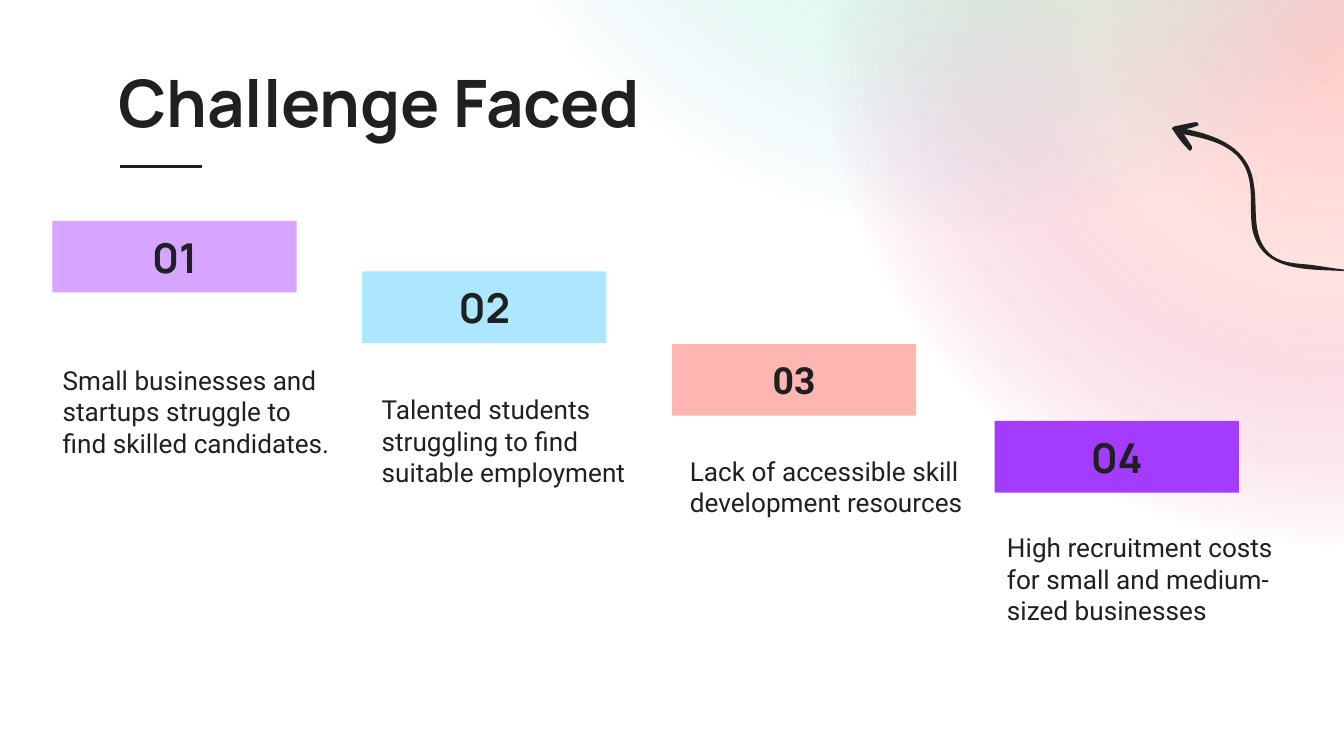
import lxml.etree
import pptx
import pptx.dml.color
import pptx.enum.shapes
import pptx.enum.text
import pptx.oxml
import pptx.oxml.ns
import pptx.util

Pt = pptx.util.Pt
qn = pptx.oxml.ns.qn
SHAPES = pptx.enum.shapes.MSO_SHAPE
ANCHOR = pptx.enum.text.MSO_ANCHOR
ALIGN = pptx.enum.text.PP_ALIGN

COLORS = {
    "ink": "1F2022",
    "lilac": "D5A5FF",
    "sky": "ADE7FF",
    "coral": "FFB6B2",
    "violet": "A43CFF",
    "mint": "96F8CC",
    "teal": "73BAD8",
    "magenta": "D40D64",
}

# Glow stops: position %, colour, opacity %
CORAL_GLOW = [(0, "coral", 66), (30, "coral", 37), (63, "magenta", 0), (100, "magenta", 0)]
MINT_GLOW = [(0, "mint", 66), (38, "mint", 28), (65, "teal", 0), (100, "magenta", 0)]

# Number, colour, font, size, bar (left, top), text, text box (left, top, width, height)
CHALLENGES = [
    ("01", "lilac", "Manrope", 22, (28.1, 118.3),
     "Small businesses and startups struggle to find skilled candidates.",
     (26.5, 188, 162.7, 74.9)),
    ("02", "sky", "Manrope", 22, (194, 145.4),
     "Talented students struggling to find suitable employment",
     (197.4, 203.6, 162.7, 97.2)),
    ("03", "coral", "Roboto", 20, (360, 184.3),
     "Lack of accessible skill development resources",
     (362.5, 236.6, 180, 72)),
    ("04", "violet", "Manrope", 22, (532.8, 225.5),
     "High recruitment costs for small and medium-sized businesses",
     (532.4, 277.7, 162.7, 97.2)),
]

# Hand-drawn arrow outline: start, then Bezier triples (control, control, end)
ARROW_START = (722.2, 144.7)
ARROW_CURVES = [
    ((722.2, 145.4), (722.2, 145.4), (722.2, 145.4)),
    ((702.7, 144), (676.1, 146.9), (671, 123.1)),
    ((668.9, 111.6), (672.5, 98.6), (666, 87.8)),
    ((659.5, 77), (645.8, 74.2), (634.3, 72)),
    ((635.8, 74.2), (637.2, 76.3), (638.6, 78.5)),
    ((638.6, 79.2), (638.6, 79.2), (638.6, 79.9)),
    ((638.6, 80.6), (637.2, 81.4), (636.5, 79.9)),
    ((633.6, 77), (630.7, 73.4), (628.6, 69.8)),
    ((627.8, 69.8), (627.8, 69.1), (627.8, 69.1)),
    ((627.8, 68.4), (628.6, 67.7), (629.3, 67.7)),
    ((632.9, 67), (636.5, 66.2), (640.1, 65.5)),
    ((641.5, 64.8), (642.2, 66.2), (642.2, 67)),
    ((641.5, 67.7), (641.5, 67.7), (640.8, 67.7)),
    ((638.6, 68.4), (637.2, 69.1), (635, 69.1)),
    ((652.3, 72.7), (669.6, 79.2), (671.8, 99.4)),
    ((673.9, 110.9), (670.3, 126), (679.7, 135.4)),
    ((685.4, 141.1), (694.1, 141.1), (701.3, 141.8)),
    ((707.8, 142.6), (715, 144), (722.2, 144.7)),
]


def rgb(name):
    return pptx.dml.color.RGBColor.from_string(COLORS[name])


def paint(shape, color):
    shape.shadow.inherit = False
    shape.fill.solid()
    shape.fill.fore_color.rgb = rgb(color)
    shape.line.fill.background()


def add_glow(page, left, top, size, stops):
    glow = page.shapes.add_shape(SHAPES.OVAL, Pt(left), Pt(top), Pt(size), Pt(size))
    paint(glow, stops[0][1])
    stop_xml = "".join(
        f'<a:gs pos="{place * 1000}"><a:srgbClr val="{COLORS[color]}">'
        f'<a:alpha val="{opacity * 1000}"/></a:srgbClr></a:gs>'
        for place, color, opacity in stops)
    gradient = pptx.oxml.parse_xml(
        f'<a:gradFill {pptx.oxml.ns.nsdecls("a")} rotWithShape="0"><a:gsLst>{stop_xml}</a:gsLst>'
        '<a:path path="circle"><a:fillToRect l="50000" t="50000" r="50000" b="50000"/></a:path>'
        '</a:gradFill>')
    properties = glow._element.spPr
    properties.replace(properties.find(qn("a:solidFill")), gradient)


def write_text(shape, text, font, size, bold=False, margin=7.2, anchor=ANCHOR.TOP,
               align=ALIGN.LEFT, spacing=None):
    frame = shape.text_frame
    frame.word_wrap = True
    frame.vertical_anchor = anchor
    frame.margin_left = frame.margin_right = Pt(margin)
    frame.margin_top = frame.margin_bottom = Pt(margin)
    paragraph = frame.paragraphs[0]
    paragraph.text = text
    paragraph.alignment = align
    paragraph.line_spacing = spacing
    paragraph.font.name = font
    paragraph.font.size = Pt(size)
    paragraph.font.bold = bold
    paragraph.font.color.rgb = rgb("ink")


def add_text(page, left, top, width, height, text, font, size, **style):
    box = page.shapes.add_textbox(Pt(left), Pt(top), Pt(width), Pt(height))
    write_text(box, text, font, size, **style)


def add_number_bar(page, left, top, color, number, font, size):
    bar = page.shapes.add_shape(SHAPES.RECTANGLE, Pt(left), Pt(top), Pt(130.9), Pt(38.4))
    paint(bar, color)
    write_text(bar, number, font, size, bold=True, margin=0,
               anchor=ANCHOR.MIDDLE, align=ALIGN.CENTER)


def add_arrow(page):
    # The pen works in hundredths of a point
    pen = page.shapes.build_freeform(ARROW_START[0] * 100, ARROW_START[1] * 100, Pt(0.01))
    pen.add_line_segments([(x * 100, y * 100) for curve in ARROW_CURVES for x, y in curve])
    arrow = pen.convert_to_shape()
    paint(arrow, "ink")
    # Join each three line segments into one Bezier curve
    lines = list(arrow._element.iter(qn("a:lnTo")))[:3 * len(ARROW_CURVES)]
    for index in range(0, len(lines), 3):
        triple = lines[index:index + 3]
        curve = lxml.etree.Element(qn("a:cubicBezTo"))
        triple[0].addprevious(curve)
        for line in triple:
            curve.append(line[0])
            line.getparent().remove(line)


def add_rule(page, left, right, y):
    rule = page.shapes.add_connector(
        pptx.enum.shapes.MSO_CONNECTOR.STRAIGHT, Pt(left), Pt(y), Pt(right), Pt(y))
    rule.line.color.rgb = rgb("ink")
    rule.line.width = Pt(1.5)
    lxml.etree.SubElement(rule._element.spPr, qn("a:effectLst"))


def main():
    deck = pptx.Presentation()
    deck.slide_width, deck.slide_height = Pt(720), Pt(405)
    page = deck.slides.add_slide(deck.slide_layouts[6])

    # Background glows
    add_glow(page, 407.5, -284.4, 610.6, CORAL_GLOW)
    add_glow(page, 211.7, -462.2, 610.6, MINT_GLOW)

    # Heading and arrow
    add_text(page, 56.2, 31, 607.7, 36.7, "Challenge Faced", "Manrope", 35,
             bold=True, spacing=0.9)
    add_arrow(page)

    # Descending steps
    for number, color, font, size, bar, text, area in CHALLENGES:
        add_number_bar(page, *bar, color, number, font, size)
        add_text(page, *area, text, "Roboto", 14)

    # Rule under the heading
    add_rule(page, 64.1, 108.4, 89.4)

    deck.save("out.pptx")


if __name__ == "__main__":
    main()
